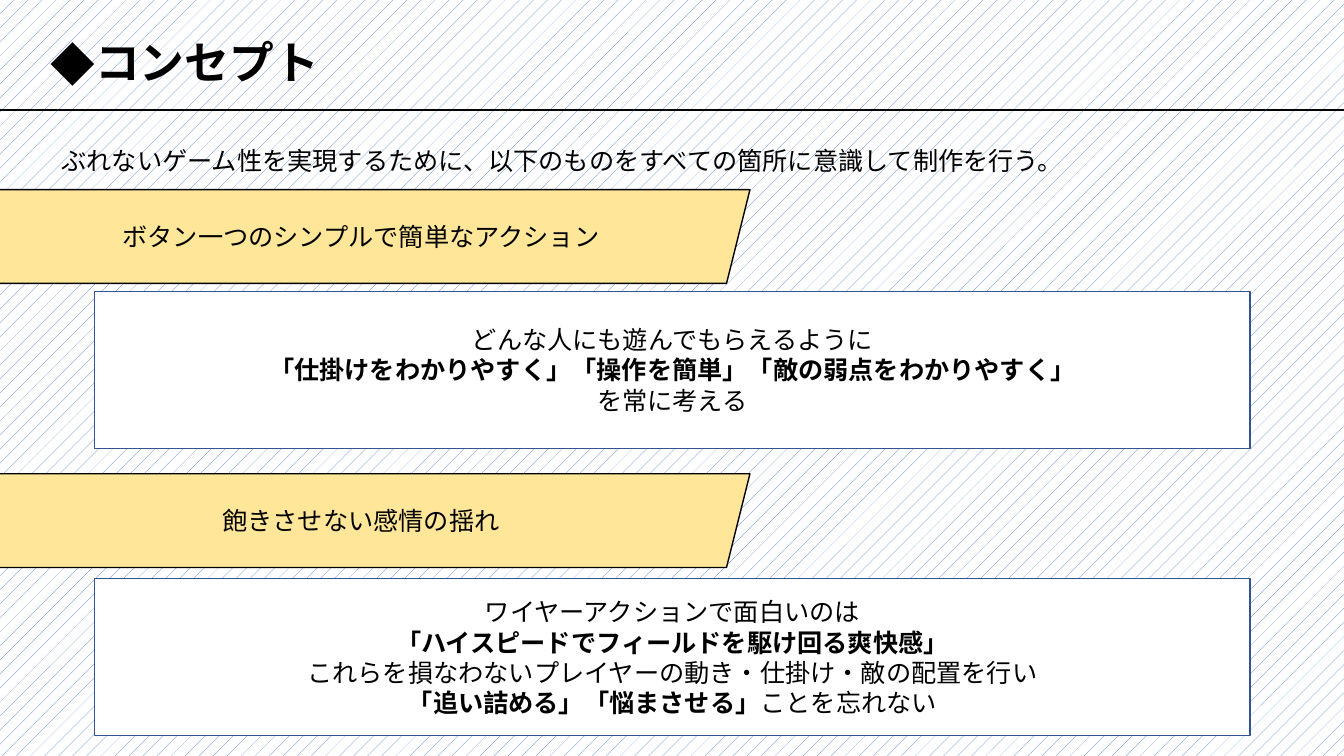
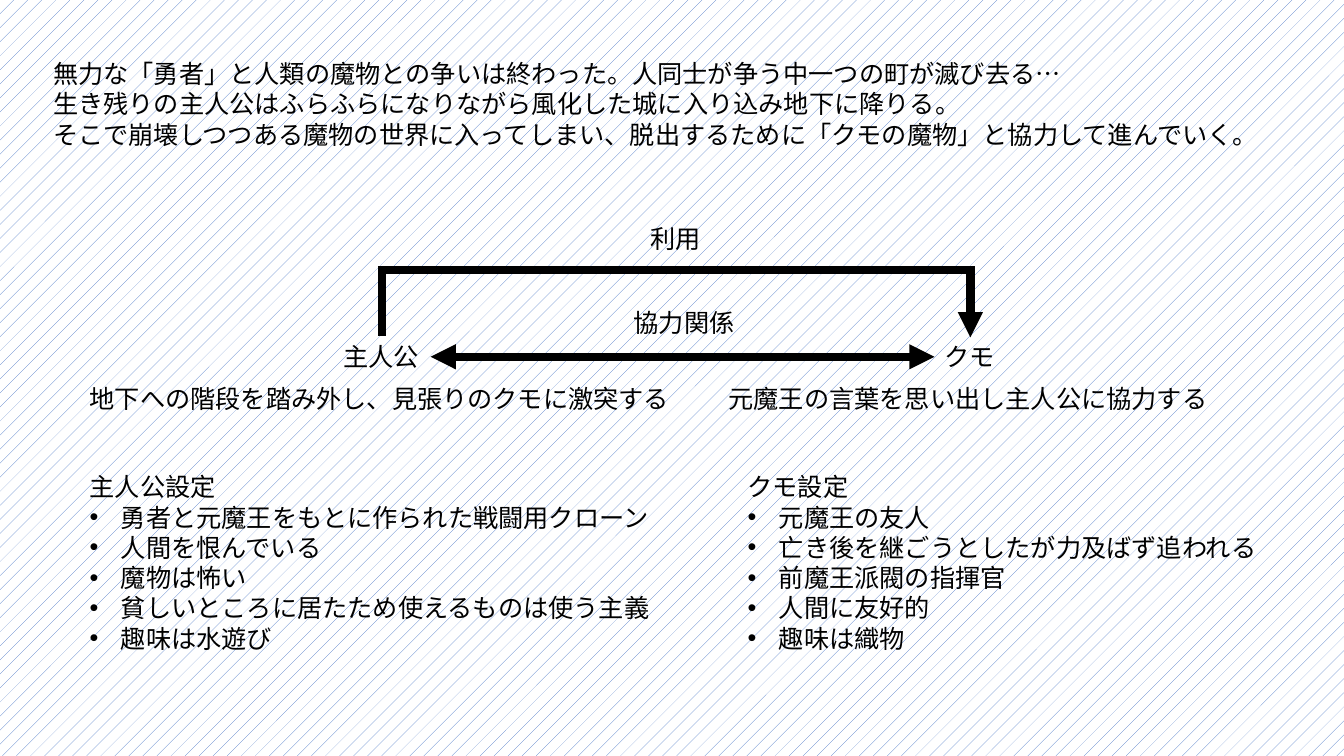
from dataclasses import dataclass

from lxml import etree
from pptx import Presentation
from pptx import util as u
from pptx.dml.color import RGBColor
from pptx.enum import dml, shapes, text
from pptx.oxml.ns import qn


@dataclass(frozen=True)
class Theme:
    ink: RGBColor = RGBColor(0x00, 0x00, 0x00)
    paper: RGBColor = RGBColor(0xFF, 0xFF, 0xFF)
    hatch: RGBColor = RGBColor(0x44, 0x72, 0xC4)
    banner: RGBColor = RGBColor(0xFF, 0xE6, 0x99)
    panel_edge: RGBColor = RGBColor(0x32, 0x54, 0x91)
    font: str = "Noto Sans CJK JP"
    title: u.Pt = u.Pt(32)
    body: u.Pt = u.Pt(18)
    outline: u.Pt = u.Pt(1)
    rule: u.Pt = u.Pt(1.5)
    arrow: u.Pt = u.Pt(6)


theme = Theme()


def write(frame, lines, size=theme.body, bold=False, align=None, bullet=None, first_bullet=0):
    """Fill a frame; a line given as a tuple is a bold part and a plain part."""
    frame.text = "\n".join(line if isinstance(line, str) else line[0] for line in lines)
    for number, (para, line) in enumerate(zip(frame.paragraphs, lines)):
        para.alignment = align
        if not isinstance(line, str):
            para.runs[0].font.bold = True
            if line[1]:
                para.add_run().text = line[1]
        if bullet and number >= first_bullet:
            properties = para._p.get_or_add_pPr()
            properties.set("marL", str(u.Cm(0.79)))
            properties.set("indent", str(-u.Cm(0.79)))
            etree.SubElement(properties, qn("a:buFont")).set(
                "typeface", "Arial" if bullet == "•" else theme.font)
            etree.SubElement(properties, qn("a:buChar")).set("char", bullet)
        for span in para.runs:
            span.font.size = size
            span.font.name = theme.font
            span.font.color.rgb = theme.ink
            if bold:
                span.font.bold = True
            etree.SubElement(span._r.rPr, qn("a:ea")).set("typeface", theme.font)


def add_label(page, left, top, width, height, lines, **style):
    box = page.shapes.add_textbox(u.Cm(left), u.Cm(top), u.Cm(width), u.Cm(height))
    box.text_frame.word_wrap = False
    box.text_frame.auto_size = text.MSO_AUTO_SIZE.SHAPE_TO_FIT_TEXT
    write(box.text_frame, lines, **style)
    return box


# Deck and shared background
deck = Presentation()
deck.slide_width, deck.slide_height = u.Cm(33.87), u.Cm(19.05)
backdrop = deck.slide_master.background.fill
backdrop.patterned()
backdrop.pattern = dml.MSO_PATTERN.PERCENT_5
backdrop.fore_color.rgb = theme.hatch
backdrop.back_color.rgb = theme.paper
blank = deck.slide_layouts[6]
concept, story = [deck.slides.add_slide(blank) for _ in range(2)]

# Concept: title, rule and lead sentence
title_rule = concept.shapes.add_connector(
    shapes.MSO_CONNECTOR.STRAIGHT, 0, u.Cm(2.77), deck.slide_width, u.Cm(2.77))
add_label(concept, 1.02, 0.76, 7.34, 1.63, ["コンセプト"],
          size=theme.title, bold=True, bullet="◆")
add_label(concept, 1.3, 3.53, 26.16, 1.02,
          ["ぶれないゲーム性を実現するために、以下のものをすべての箇所に意識して制作を行う。"])

# Concept: banners, each with its panel
principles = [
    (4.78, "ボタン一つのシンプルで簡単なアクション", 7.34, [
        "どんな人にも遊んでもらえるように",
        ("「仕掛けをわかりやすく」「操作を簡単」「敵の弱点をわかりやすく」", ""),
        "を常に考える",
    ]),
    (11.94, "飽きさせない感情の揺れ", 14.58, [
        "ワイヤーアクションで面白いのは",
        ("「ハイスピードでフィールドを駆け回る爽快感」", ""),
        "これらを損なわないプレイヤーの動き・仕掛け・敵の配置を行い",
        ("「追い詰める」「悩まさせる」", "ことを忘れない"),
    ]),
]
for banner_top, heading, panel_top, details in principles:
    for preset, place, fill, edge, lines in [
        (shapes.MSO_SHAPE.PARALLELOGRAM, (-0.71, banner_top, 19.61, 2.36),
         theme.banner, theme.ink, [heading]),
        (shapes.MSO_SHAPE.RECTANGLE, (2.39, panel_top, 29.11, 3.96),
         theme.paper, theme.panel_edge, details),
    ]:
        box = concept.shapes.add_shape(preset, *[u.Cm(length) for length in place])
        box.shadow.inherit = False
        box.fill.solid()
        box.fill.fore_color.rgb = fill
        box.line.color.rgb = edge
        box.line.width = theme.outline
        box.text_frame.word_wrap = True
        box.text_frame.vertical_anchor = text.MSO_ANCHOR.MIDDLE
        write(box.text_frame, lines, align=text.PP_ALIGN.CENTER)

# Story: introduction
add_label(story, 1.09, 1.35, 31.93, 2.57, [
    "無力な「勇者」と人類の魔物との争いは終わった。人同士が争う中一つの町が滅び去る…",
    "生き残りの主人公はふらふらになりながら風化した城に入り込み地下に降りる。",
    "そこで崩壊しつつある魔物の世界に入ってしまい、脱出するために「クモの魔物」と協力して進んでいく。",
])

# Story: the two characters and their relations
hero = add_label(story, 8.41, 8.48, 2.44, 1.02, ["主人公"])
spider = add_label(story, 23.55, 8.48, 1.8, 1.02, ["クモ"])
for left, top, width, caption in [
    (2.01, 9.53, 15.27, "地下への階段を踏み外し、見張りのクモに激突する"),
    (18.11, 9.53, 12.7, "元魔王の言葉を思い出し主人公に協力する"),
    (15.72, 7.62, 3.07, "協力関係"),
    (16.15, 5.51, 1.8, "利用"),
]:
    add_label(story, left, top, width, 1.02, [caption])

cooperation = story.shapes.add_connector(shapes.MSO_CONNECTOR.STRAIGHT, 0, 0, 0, 0)
cooperation.begin_connect(hero, 3)
cooperation.end_connect(spider, 1)

# The elbow is a thin upright connector, turned so that it rises over both names
middle, level, reach, rise, thin = (u.Cm(n) for n in (17.04, 8.48, 14.83, 1.65, 0.04))
exploitation = story.shapes.add_connector(
    shapes.MSO_CONNECTOR.ELBOW, middle + thin // 2, level - reach // 2,
    middle - thin // 2, level + reach // 2)
exploitation._element.spPr.find(qn("a:xfrm")).set("rot", str(270 * 60000))
geometry = exploitation._element.spPr.find(qn("a:prstGeom"))
guides = geometry.find(qn("a:avLst"))
if guides is None:
    guides = etree.SubElement(geometry, qn("a:avLst"))
bend = etree.SubElement(guides, qn("a:gd"))
bend.set("name", "adj1")
bend.set("fmla", f"val {-round(rise / thin * 100000)}")

# Line styles and arrowheads
for connector, width, arrowheads in [
    (title_rule, theme.rule, []),
    (cooperation, theme.arrow, ["a:headEnd", "a:tailEnd"]),
    (exploitation, theme.arrow, ["a:tailEnd"]),
]:
    connector.line.color.rgb = theme.ink
    connector.line.width = width
    outline = connector.line._get_or_add_ln()
    etree.SubElement(outline, qn("a:miter")).set("lim", "800000")
    for end in arrowheads:
        etree.SubElement(outline, qn(end)).set("type", "triangle")
    etree.SubElement(connector._element.spPr, qn("a:effectLst"))

# Story: character profiles
for left, width, profile in [
    (2.01, 14.78, ["主人公設定", "勇者と元魔王をもとに作られた戦闘用クローン", "人間を恨んでいる",
                   "魔物は怖い", "貧しいところに居たため使えるものは使う主義", "趣味は水遊び"]),
    (18.59, 13.49, ["クモ設定", "元魔王の友人", "亡き後を継ごうとしたが力及ばず追われる",
                    "前魔王派閥の指揮官", "人間に友好的", "趣味は織物"]),
]:
    add_label(story, left, 11.76, width, 4.88, profile, bullet="•", first_bullet=1)

deck.save("out.pptx")
